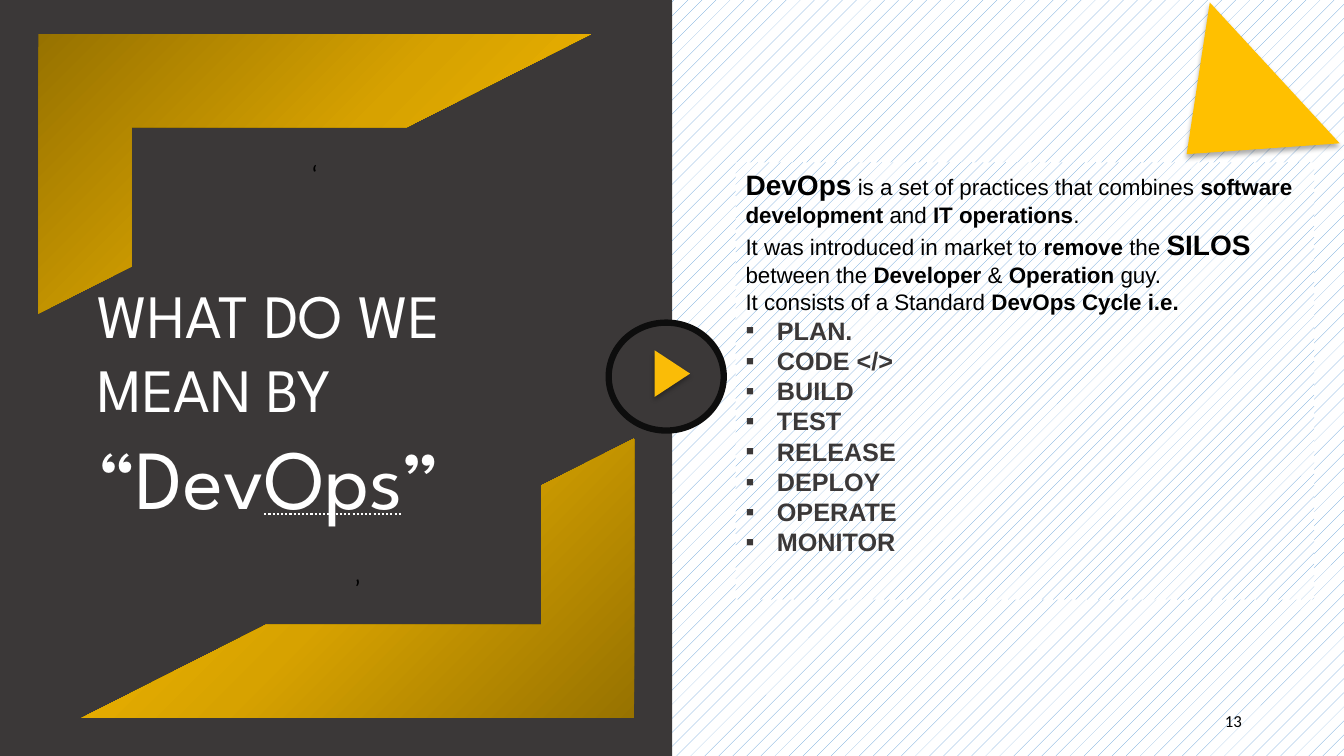
from lxml import etree
from pptx import Presentation
from pptx import util as u
from pptx.dml.color import RGBColor
from pptx.enum import dml, shapes, text
from pptx.oxml.ns import nsdecls, qn

SHAPE = shapes.MSO_SHAPE
ALIGN = text.PP_ALIGN
ANCHOR = text.MSO_ANCHOR
DARK, BLACK, WHITE, GOLD, BLUE = "3B3838", "000000", "FFFFFF", "FFC000", "5B9BD5"
FRAME_STOPS = [(0, "977200"), (50, "D7A200"), (100, GOLD)]

PLAIN = {"size": u.Pt(16), "name": "Arial", "color": BLACK}
BOLD = PLAIN | {"bold": True}
LARGE = BOLD | {"size": u.Pt(20)}
STAGE = BOLD | {"size": u.Pt(18), "color": DARK}
TITLE = {"size": u.Pt(44), "name": "League Spartan", "color": WHITE, "bold": False}
TITLE_LARGE = TITLE | {"size": u.Pt(60)}
TITLE_DOTTED = TITLE_LARGE | {"underline": text.MSO_UNDERLINE.DOTTED_LINE}
QUOTE = {"size": u.Pt(18), "name": "Calibri", "color": BLACK}
NUMBER = QUOTE | {"size": u.Pt(12)}

INTRO = [
    [("DevOps", LARGE), (" is a set of practices that combines", PLAIN),
     (" software development ", BOLD), ("and ", PLAIN), ("IT operations", BOLD), (".", PLAIN)],
    [("It was introduced in market to ", PLAIN), ("remove ", BOLD), ("the ", PLAIN),
     ("SILOS ", LARGE), ("between the ", PLAIN), ("Developer ", BOLD), ("& ", PLAIN),
     ("Operation ", BOLD), ("guy.", PLAIN)],
    [("It consists of a Standard ", PLAIN), ("DevOps Cycle i.e.", BOLD)],
]
STAGES = ["PLAN.", "CODE </>", "BUILD", "TEST", "RELEASE", "DEPLOY", "OPERATE", "MONITOR"]


def rgb(value):
    return RGBColor.from_string(value)


def set_pattern(fill, pattern):
    fill.patterned()
    fill.pattern = pattern
    fill.fore_color.rgb = rgb(BLUE)
    fill.back_color.rgb = rgb(WHITE)


def add_shape(page, kind, box, color=None, rotation=0):
    shape = page.shapes.add_shape(kind, *map(u.Cm, box))
    shape.shadow.inherit = False
    shape.rotation = rotation
    shape.line.fill.background()
    if color:
        shape.fill.solid()
        shape.fill.fore_color.rgb = rgb(color)
    return shape


def add_spans(para, spans, align=ALIGN.LEFT):
    para.alignment = align
    for words, style in spans:
        span = para.add_run()
        span.text = words
        for name, value in style.items():
            if name == "color":
                span.font.color.rgb = rgb(value)
            else:
                setattr(span.font, name, value)


def add_bullet(para, indent):
    props = para._p.get_or_add_pPr()
    props.set("marL", str(indent))
    props.set("indent", str(-indent))
    etree.SubElement(props, qn("a:buFont"), typeface="Arial")
    etree.SubElement(props, qn("a:buChar"), char="▪")


def add_triangle(page, box, color, rotation):
    triangle = add_shape(page, SHAPE.ISOSCELES_TRIANGLE, box, color, rotation)
    effects = triangle._element.spPr.find(qn("a:effectLst"))
    effects.append(etree.fromstring(
        f'<a:outerShdw {nsdecls("a")} blurRad="{u.Pt(3.5)}" dist="{u.Pt(2.2)}" dir="5400000" '
        f'rotWithShape="0"><a:srgbClr val="{BLACK}"><a:alpha val="32000"/></a:srgbClr></a:outerShdw>'))


def add_half_frame(page, box, rotation):
    frame = add_shape(page, SHAPE.HALF_FRAME, box, GOLD, rotation)
    stops = "".join(f'<a:gs pos="{place * 1000}"><a:srgbClr val="{color}"/></a:gs>'
                    for place, color in FRAME_STOPS)
    props = frame._element.spPr
    props.replace(props.find(qn("a:solidFill")), etree.fromstring(
        f'<a:gradFill {nsdecls("a")} rotWithShape="1"><a:gsLst>{stops}</a:gsLst>'
        '<a:lin ang="2700000" scaled="0"/></a:gradFill>'))
    frame.text_frame.vertical_anchor = ANCHOR.MIDDLE
    add_spans(frame.text_frame.paragraphs[0], [("‘", QUOTE)], ALIGN.CENTER)


def add_title_panel(page, left, top, width, height):
    add_shape(page, SHAPE.RECTANGLE, (left, top, width, height), DARK)

    # Title, raised above the panel
    title = page.shapes.title
    page.shapes._spTree.append(title._element)
    place = {"left": left + 2.21, "top": top + 6.86, "width": width - 4.52, "height": 6.58}
    for name, value in place.items():
        setattr(title, name, u.Cm(value))
    frame = title.text_frame
    frame.word_wrap = True
    frame.vertical_anchor = ANCHOR.TOP
    frame.auto_size = text.MSO_AUTO_SIZE.SHAPE_TO_FIT_TEXT
    add_spans(frame.paragraphs[0], [("WHAT DO WE MEAN BY ", TITLE), ("“Dev", TITLE_LARGE),
                                    ("Ops", TITLE_DOTTED), ("”", TITLE_LARGE)])

    # Opposite corner frames
    for shift, drop, rotation in [(0.97, 0.86, 0), (2.06, 11.05, 180)]:
        add_half_frame(page, (left + shift, top + drop, 13.92, 7.04), rotation)


def add_definition(page, left, top, width, height):
    card = add_shape(page, SHAPE.RECTANGLE, (left, top, width, height))
    set_pattern(card.fill, dml.MSO_PATTERN.PERCENT_10)
    frame = card.text_frame
    frame.word_wrap = True
    frame.vertical_anchor = ANCHOR.TOP
    lines = INTRO + [[(stage, STAGE)] for stage in STAGES]
    for index, spans in enumerate(lines):
        para = frame.add_paragraph() if index else frame.paragraphs[0]
        add_spans(para, spans)
        if index >= len(INTRO):
            add_bullet(para, u.Cm(0.79))


def add_play_button(page, left, top, width, height):
    ring = add_shape(page, SHAPE.OVAL, (left, top, width, height), DARK)
    ring.line.color.rgb = rgb("0D0D0D")
    ring.line.width = u.Pt(4.5)
    add_triangle(page, (left + 1.02, top + 0.84, 1.17, 0.89), "FABC07", 90)


def add_page_number(page, left, top, width, height):
    frame = page.shapes.add_textbox(*map(u.Cm, (left, top, width, height))).text_frame
    frame.word_wrap = True
    frame.vertical_anchor = ANCHOR.MIDDLE
    add_spans(frame.paragraphs[0], [("13", NUMBER)], ALIGN.RIGHT)


def main():
    deck = Presentation()
    deck.slide_width, deck.slide_height = u.Cm(33.87), u.Cm(19.05)
    page = deck.slides.add_slide(deck.slide_layouts[5])
    set_pattern(page.background.fill, dml.MSO_PATTERN.PERCENT_5)
    add_title_panel(page, 0, 0, 16.94, 19.05)
    add_definition(page, 18.54, 4.09, 14.58, 11.02)
    add_play_button(page, 15.34, 8.13, 2.9, 2.72)
    add_triangle(page, (28.6, 1.35, 4.83, 3.02), GOLD, 227.3)
    add_page_number(page, 23.93, 17.65, 7.62, 1.02)
    deck.save("out.pptx")


if __name__ == "__main__":
    main()
